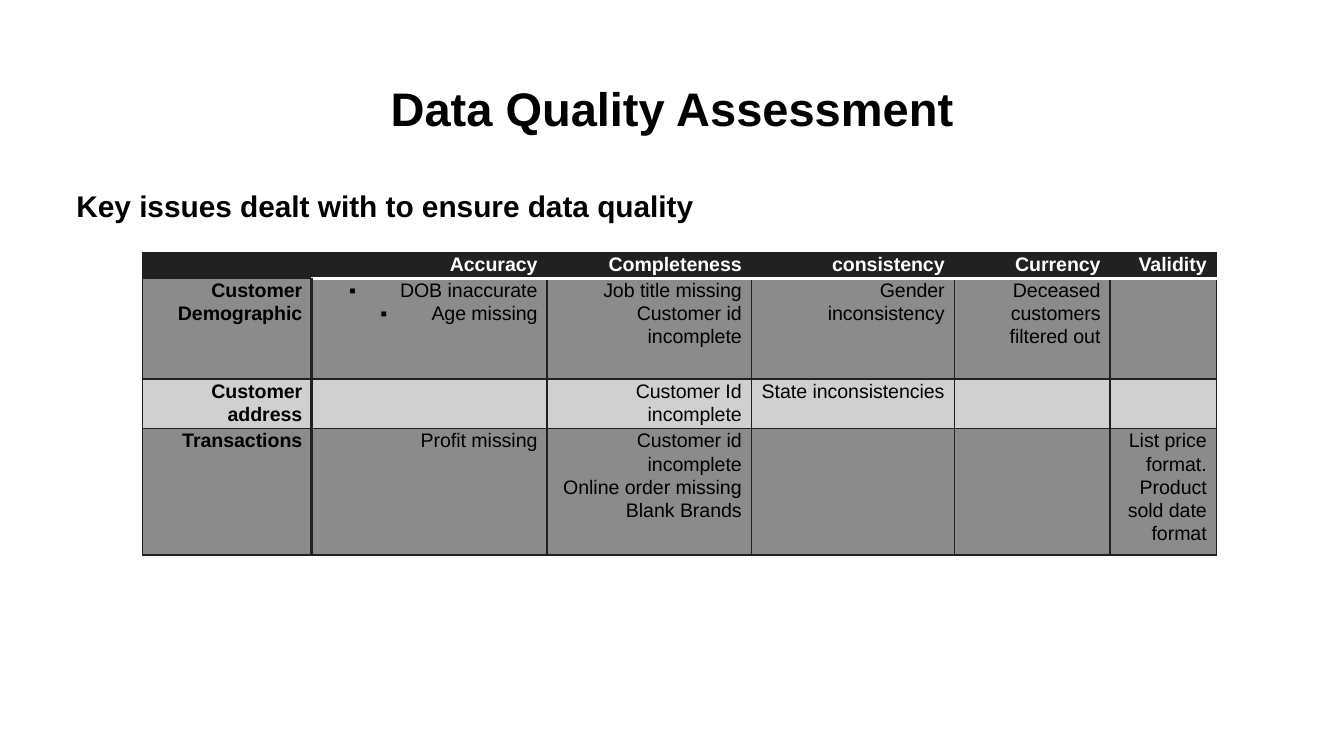
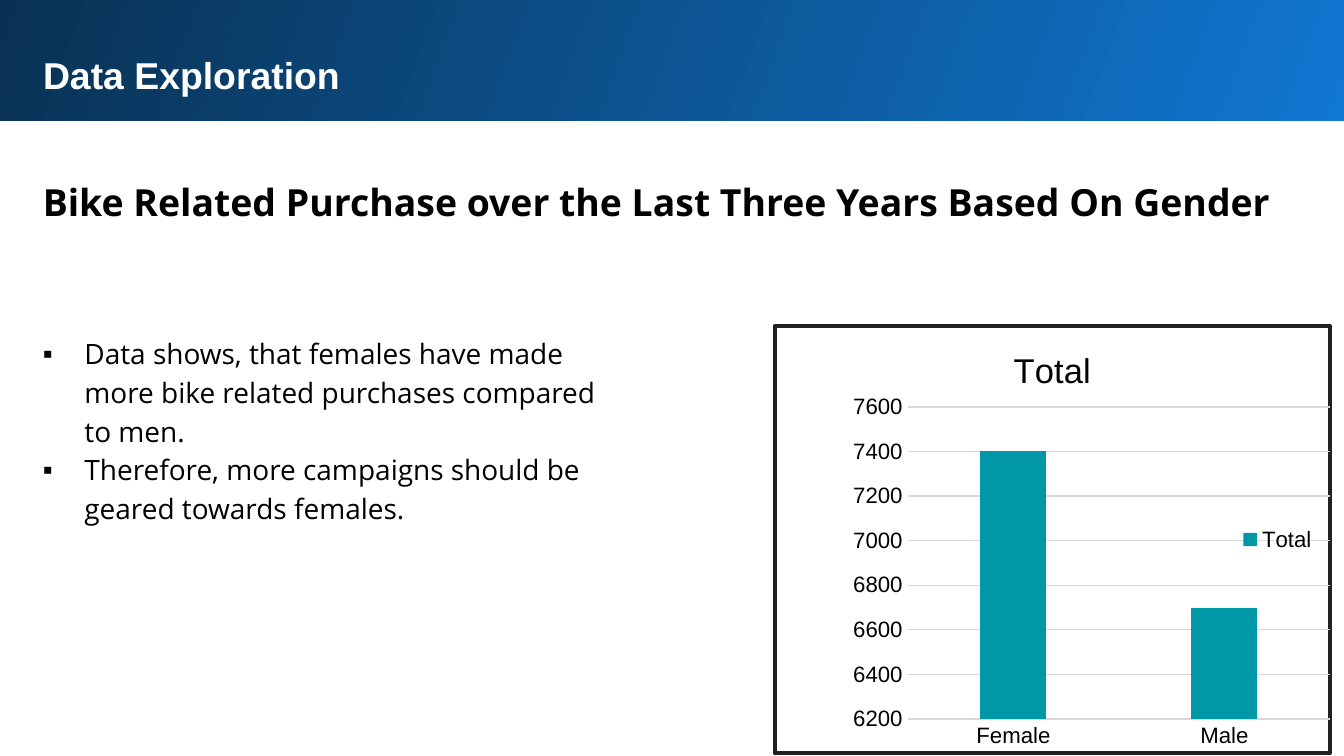
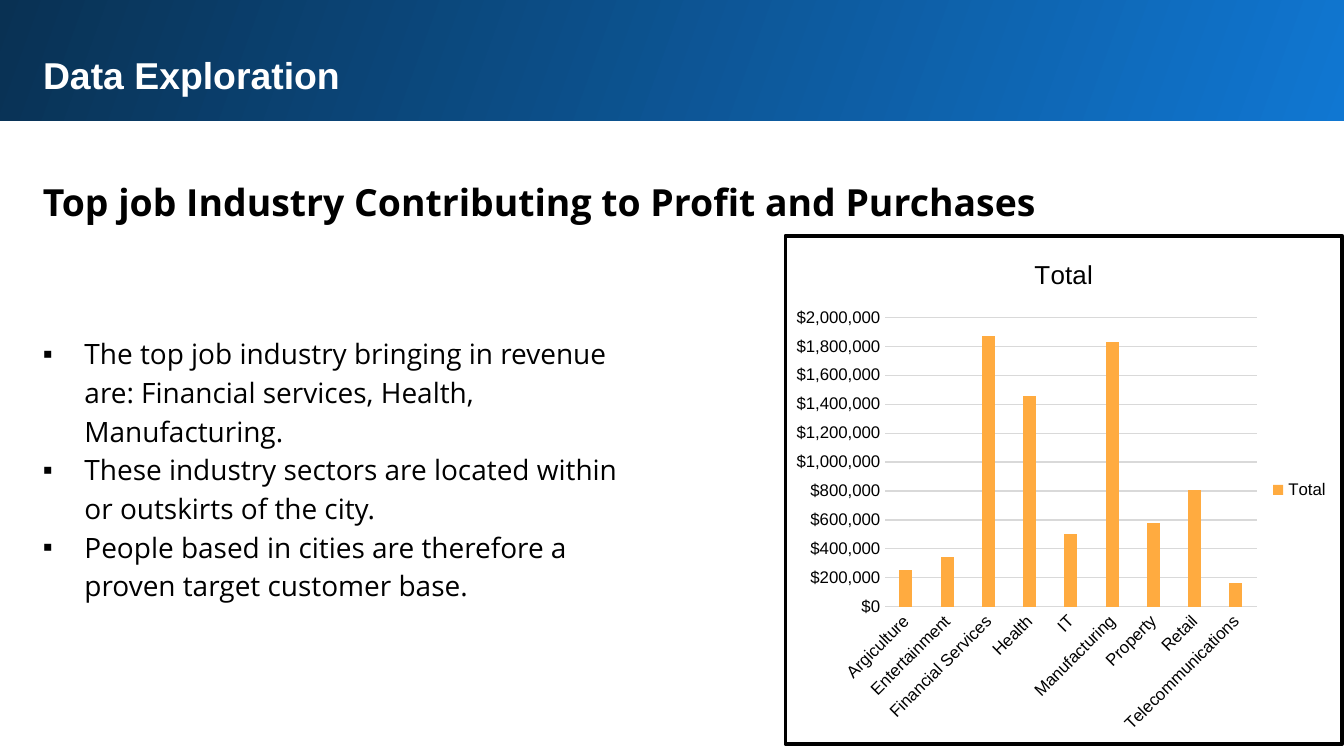
"""Build three slides on data quality and data exploration."""
from lxml.etree import SubElement as Sub
from pptx import Presentation
from pptx.chart.data import CategoryChartData as Data
from pptx.dml.color import RGBColor as RGB
from pptx.enum.chart import XL_CHART_TYPE as Kind, XL_LEGEND_POSITION as Spot, XL_TICK_MARK as Tick
from pptx.enum.shapes import MSO_SHAPE as Shape
from pptx.enum.text import MSO_ANCHOR as Anchor, MSO_AUTO_SIZE as Auto, PP_ALIGN as Align
from pptx.oxml import parse_xml
from pptx.oxml.ns import nsdecls, qn
from pptx.util import Inches, Pt

HUES = {
    "black": "000000", "white": "FFFFFF", "ink": "212121", "rule": "202020",
    "gray": "8B8B8B", "pale": "D0D0D0", "grid": "D9D9D9",
    "blue": "1077D2", "navy": "093153", "teal": "0097A7", "gold": "FFAB40",
}
HUE = {name: RGB.from_string(code) for name, code in HUES.items()}
HEAD = {"name": "Arial", "size": Pt(25.2), "bold": True}
SUB = {"name": "Arial", "size": Pt(16), "bold": True}
BAND = {"name": "Arial", "size": Pt(20), "bold": True}
LEAD = {"name": "Open Sans", "size": Pt(20), "bold": True}
BODY = {"name": "Open Sans", "size": Pt(15), "bold": False}
CELL = {"name": "Arial", "size": Pt(10.5)}


def style(font, form, hue="black"):
    for key, value in form.items():
        setattr(font, key, value)
    font.color.rgb = HUE[hue]


def write(frame, lines, form, hue="black", pad=(0.1, 0.1), lead=1.0, side=Align.LEFT, dent=0, mark=None):
    frame.word_wrap = True
    frame.auto_size = Auto.NONE
    frame.vertical_anchor = Anchor.TOP
    frame.margin_left = frame.margin_right = Inches(pad[0])
    frame.margin_top = frame.margin_bottom = Inches(pad[1])
    for num, line in enumerate(lines):
        para = frame.add_paragraph() if num else frame.paragraphs[0]
        para.alignment, para.line_spacing = side, lead
        props = para._p.get_or_add_pPr()
        if dent:
            props.set("marL", str(Inches(dent)))
        if mark:
            props.set("indent", str(-Inches(dent)))
            Sub(props, qn("a:buFont"), typeface="Arial")
            Sub(props, qn("a:buChar"), char=mark)
        run = para.add_run()
        run.text = line
        style(run.font, form, hue)


deck = Presentation()
deck.slide_width = Inches(10)
deck.slide_height = deck.slide_width * 9 // 16
plain = deck.slide_layouts[5]

slide = deck.slides.add_slide(plain)
title = slide.shapes.title
title.left, title.top, title.width, title.height = map(Inches, (0.34, 0.49, 9.32, 0.63))
write(title.text_frame, ["Data Quality Assessment"], HEAD, side=Align.CENTER)
intro = slide.shapes.add_textbox(*map(Inches, (0.34, 1.26, 9.32, 3.74)))
write(intro.text_frame, ["Key issues dealt with to ensure data quality"], SUB, lead=1.15, dent=0.13)

rows = [
    [[], ["Accuracy"], ["Completeness"], ["consistency"], ["Currency"], ["Validity"]],
    [["Customer Demographic"], ["DOB inaccurate", "Age missing"],
     ["Job title missing", "Customer id incomplete"], ["Gender inconsistency"],
     ["Deceased customers filtered out"], []],
    [["Customer address"], [], ["Customer Id incomplete"], ["State inconsistencies"], [], []],
    [["Transactions"], ["Profit missing"],
     ["Customer id incomplete", "Online order missing", "Blank Brands"], [], [],
     ["List price format.", "Product sold date format"]],
]
grid = slide.shapes.add_table(4, 6, *map(Inches, (1.06, 1.88, 8, 2.25))).table
for col, wide in zip(grid.columns, (1.26, 1.75, 1.52, 1.51, 1.16, 0.79)):
    col.width = Inches(wide)
for row, tall in zip(grid.rows, (0.19, 0.75, 0.37, 0.94)):
    row.height = Inches(tall)
for r, row in enumerate(rows):
    for c, lines in enumerate(row):
        cell = grid.cell(r, c)
        props = cell._tc.get_or_add_tcPr()
        edges = dict.fromkeys("LRTB", ("rule", 0.75))
        if c and r < 2:
            edges["TB"[r == 0]] = ("white", 2)
        if r and c < 2:
            edges["LR"[c == 0]] = ("ink", 2)
        for side, (hue, size) in edges.items():
            line = Sub(props, qn("a:ln" + side), w=str(Pt(size)))
            Sub(Sub(line, qn("a:solidFill")), qn("a:srgbClr"), val=HUES[hue])
        cell.fill.solid()
        cell.fill.fore_color.rgb = HUE[("ink", "gray", "pale", "gray")[r]]
        cell.margin_left = cell.margin_right = Inches(0.07)
        cell.margin_top = cell.margin_bottom = 0
        if not lines:
            Sub(cell.text_frame.paragraphs[0]._p, qn("a:endParaRPr"), sz="1050")
        listed = len(lines) == 2 and c == 1
        write(cell.text_frame, lines, {**CELL, "bold": r == 0 or c == 0},
              "black" if r else "white", (0.07, 0), 1.07, Align.RIGHT,
              0.38 if listed else 0, "▪" if listed else None)

views = [
    {"lead": "Bike Related Purchase over the Last Three Years Based On Gender",
     "notes": ["Data shows, that females have made more bike related purchases compared to men.",
               "Therefore, more campaigns should be geared towards females."],
     "tall": 1.34, "at": (5.75, 2.41, 4.16, 3.21), "hue": "teal", "edge": "ink",
     "size": 12, "big": 18.6, "form": "General", "scale": (6200, 7600, 200),
     "plot": {"x": 0.24, "y": 0.19, "w": 0.76, "h": 0.73}, "turn": 0,
     "data": {"Female": 7400, "Male": 6700}},
    {"lead": "Top job Industry Contributing to Profit and Purchases",
     "notes": ["The top job industry bringing in revenue are: Financial services, Health, Manufacturing.",
               "These industry sectors are located within or outskirts of the city.",
               "People based in cities are therefore a proven target customer base."],
     "tall": 2.21, "at": (5.83, 1.74, 4.17, 3.81), "hue": "gold", "edge": "black",
     "size": 9, "big": 14, "form": '"$"#,##0', "scale": (0, 2000000, 200000),
     "plot": None, "turn": -45,
     "data": {"Argiculture": 250000, "Entertainment": 340000, "Financial Services": 1870000,
              "Health": 1460000, "IT": 500000, "Manufacturing": 1830000, "Property": 580000,
              "Retail": 810000, "Telecommunications": 160000}},
]
for view in views:
    slide = deck.slides.add_slide(plain)
    band = slide.shapes.add_shape(Shape.RECTANGLE, *map(Inches, (-0.02, -0.02, 10.05, 0.92)))
    band.shadow.inherit = False
    band.line.fill.background()
    band.fill.gradient()
    band.fill.gradient_angle = 160
    for stop, hue in zip(band.fill.gradient_stops, ("blue", "navy")):
        stop.color.rgb = HUE[hue]
    title = slide.shapes.title
    title._element.addprevious(band._element)
    title.left, title.top, title.width, title.height = map(Inches, (0.22, 0.29, 9.37, 0.51))
    write(title.text_frame, ["Data Exploration"], BAND, "white")
    lead = slide.shapes.add_textbox(*map(Inches, (0.22, 1.18, 9.37, 0.56)))
    write(lead.text_frame, [view["lead"]], LEAD, lead=1.15)
    notes = slide.shapes.add_textbox(*map(Inches, (0.22, 2.37, 4.52, view["tall"])))
    write(notes.text_frame, view["notes"], BODY, lead=1.15, dent=0.31, mark="▪")

    data = Data(number_format=view["form"])
    data.categories = list(view["data"])
    data.add_series("Total", list(view["data"].values()))
    chart = slide.shapes.add_chart(Kind.COLUMN_CLUSTERED, *map(Inches, view["at"]), data).chart
    small = {"name": "Arial", "size": Pt(view["size"]), "bold": False}
    style(chart.font, {**small, "size": Pt(10)})
    chart.has_title = chart.has_legend = True
    head = chart.chart_title
    head.include_in_layout = False
    head.text_frame.text = "Total"
    style(head.text_frame.paragraphs[0].runs[0].font, {**small, "size": Pt(view["big"])})
    chart.legend.position = Spot.RIGHT
    chart.legend.include_in_layout = False
    style(chart.legend.font, small)
    plot = chart.plots[0]
    plot.gap_width, plot.overlap, plot.vary_by_categories = 219, -27, False
    fill = plot.series[0].format.fill
    fill.solid()
    fill.fore_color.rgb = HUE[view["hue"]]

    cats, vals = chart.category_axis, chart.value_axis
    for axis in (cats, vals):
        axis.major_tick_mark = axis.minor_tick_mark = Tick.NONE
        style(axis.tick_labels.font, small)
    vals.minimum_scale, vals.maximum_scale, vals.major_unit = view["scale"]
    vals.tick_labels.number_format = view["form"]
    vals.tick_labels.number_format_is_linked = False
    vals.format.line.fill.background()
    for line in (cats.format.line, vals.major_gridlines.format.line):
        line.color.rgb, line.width = HUE["grid"], Pt(0.75)
    if view["turn"]:
        cats._element.find(".//" + qn("a:bodyPr")).set("rot", str(view["turn"] * 60000))

    root = chart._chartSpace.find(qn("c:chart"))
    root.addnext(parse_xml(
        f'<c:spPr {nsdecls("c", "a")}><a:solidFill><a:srgbClr val="{HUES["white"]}"/></a:solidFill>'
        f'<a:ln w="{Pt(2)}"><a:solidFill><a:srgbClr val="{HUES[view["edge"]]}"/></a:solidFill></a:ln></c:spPr>'))
    if view["plot"]:
        area = root.find(qn("c:plotArea"))
        for old in area.findall(qn("c:layout")):
            area.remove(old)
        frame = parse_xml(f'<c:layout {nsdecls("c")}><c:manualLayout/></c:layout>')
        area.insert(0, frame)
        Sub(frame[0], qn("c:layoutTarget"), val="inner")
        for key in "xy":
            Sub(frame[0], qn(f"c:{key}Mode"), val="edge")
        for key, value in view["plot"].items():
            Sub(frame[0], qn("c:" + key), val=str(value))

deck.save("out.pptx")
